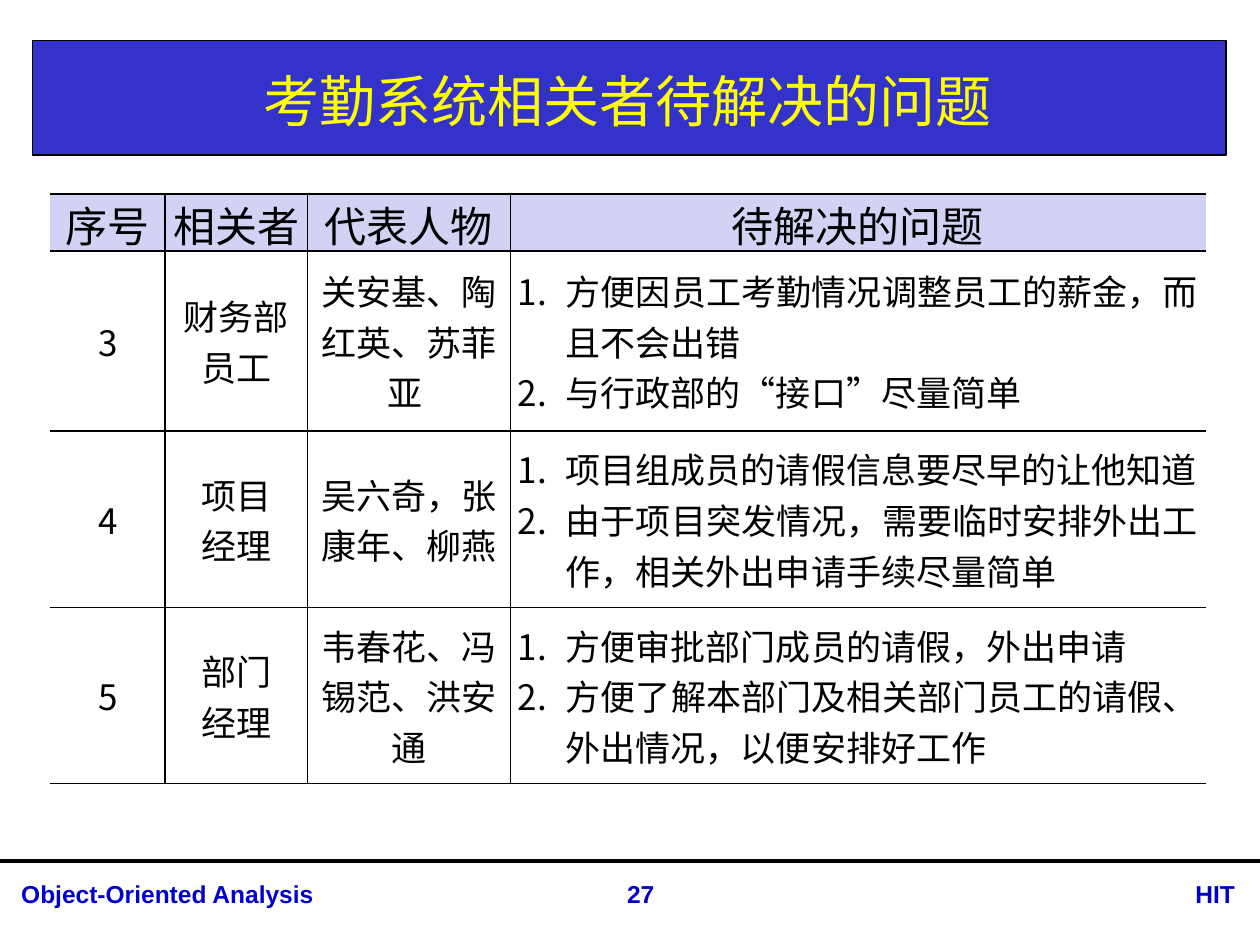
"""Build the slide listing the open issues of attendance-system stakeholders."""
import dataclasses

import lxml.etree
import pptx
import pptx.dml.color
import pptx.enum.shapes
import pptx.enum.text
import pptx.oxml
import pptx.oxml.ns
import pptx.util

Inches = pptx.util.Inches
Pt = pptx.util.Pt
ALIGN = pptx.enum.text.PP_ALIGN
ANCHOR = pptx.enum.text.MSO_ANCHOR
CJK = "Noto Sans CJK SC"


@dataclasses.dataclass
class Stakeholder:
    number: str
    role: list[str]
    people: str
    issues: list[str]


@dataclasses.dataclass
class FooterItem:
    text: str
    left: float
    width: float
    align: ALIGN


HEADERS = ["序号", "相关者", "代表人物", "待解决的问题"]
COL_WIDTHS = [0.91, 1.13, 1.61, 5.52]
ROW_HEIGHTS = [0.45, 1.43, 1.4, 1.4]
STAKEHOLDERS = [
    Stakeholder("3", ["财务部", "员工"], "关安基、陶红英、苏菲亚\u00a0",
                ["方便因员工考勤情况调整员工的薪金，而且不会出错", "与行政部的“接口”尽量简单"]),
    Stakeholder("4", ["项目", "经理"], "吴六奇，张康年、柳燕",
                ["项目组成员的请假信息要尽早的让他知道",
                 "由于项目突发情况，需要临时安排外出工作，相关外出申请手续尽量简单"]),
    Stakeholder("5", ["部门", "经理"], "韦春花、冯锡范、洪安通",
                ["方便审批部门成员的请假，外出申请",
                 "方便了解本部门及相关部门员工的请假、外出情况，以便安排好工作"]),
]
FOOTER = [
    FooterItem("Object-Oriented Analysis", 0.07, 4.63, ALIGN.LEFT),
    FooterItem("HIT", 8.87, 1.03, ALIGN.RIGHT),
    FooterItem("27", 4.57, 1.03, ALIGN.CENTER),
]


def rgb(color: str) -> pptx.dml.color.RGBColor:
    return pptx.dml.color.RGBColor.from_string(color)


def set_attrs(obj, values: dict) -> None:
    for name, value in values.items():
        setattr(obj, name, value)


def add_child(parent, tag: str, **attrs: str):
    child = lxml.etree.SubElement(parent, pptx.oxml.ns.qn(tag))
    for name, value in attrs.items():
        child.set(name, value)
    return child


def write(tf, lines: list[str], align: ALIGN, size: float, color: str = "000000",
          font: str = CJK, bold: bool = False, numbered: bool = False) -> None:
    for i, line in enumerate(lines):
        p = tf.add_paragraph() if i else tf.paragraphs[0]
        p.alignment = align
        if numbered:
            pPr = p._p.get_or_add_pPr()
            pPr.set("marL", str(Inches(0.38)))
            pPr.set("indent", str(Inches(-0.38)))
            add_child(pPr, "a:buFont", typeface=font)
            add_child(pPr, "a:buAutoNum", type="arabicPeriod")
        r = p.add_run()
        r.text = line
        set_attrs(r.font, {"size": Pt(size), "name": font, "bold": bold})
        r.font.color.rgb = rgb(color)
        rPr = r._r.get_or_add_rPr()
        if font == CJK:
            rPr.set("lang", "zh-CN")
            add_child(rPr, "a:ea", typeface=font)


def add_borders(cell, sides: dict[str, bool]) -> None:
    tcPr = cell._tc.get_or_add_tcPr()
    for side, visible in sides.items():
        ln = add_child(tcPr, f"a:ln{side}", w=str(Pt(1)))
        if visible:
            add_child(add_child(ln, "a:solidFill"), "a:srgbClr", val="000000")
        else:
            add_child(ln, "a:noFill")


def add_issue_table(s) -> None:
    rows = [[[h] for h in HEADERS]]
    rows += [[[k.number], k.role, [k.people], k.issues] for k in STAKEHOLDERS]
    last = len(HEADERS) - 1
    frame = s.shapes.add_table(len(rows), len(HEADERS), Inches(0.4), Inches(1.54),
                               Inches(sum(COL_WIDTHS)), Inches(sum(ROW_HEIGHTS)))
    table = frame.table
    set_attrs(table, {"first_row": False, "horz_banding": False})
    for column, width in zip(table.columns, COL_WIDTHS):
        column.width = Inches(width)
    for row, height in zip(table.rows, ROW_HEIGHTS):
        row.height = Inches(height)
    for i, row in enumerate(rows):
        for j, lines in enumerate(row):
            cell = table.cell(i, j)
            listed = i > 0 and j == last
            set_attrs(cell, {"margin_left": Inches(0.06), "margin_right": Inches(0.06),
                             "margin_top": 0, "margin_bottom": 0,
                             "vertical_anchor": ANCHOR.MIDDLE if i else ANCHOR.TOP})
            add_borders(cell, {"L": j > 0, "R": j < last, "T": True, "B": True})
            if i:
                cell.fill.background()
            else:
                cell.fill.solid()
                cell.fill.fore_color.rgb = rgb("D2D2F4")
            write(cell.text_frame, lines, ALIGN.JUSTIFY if listed else ALIGN.CENTER,
                  20 if i else 24, numbered=listed)


def add_title(s, text: str) -> None:
    banner = s.shapes.add_shape(pptx.enum.shapes.MSO_SHAPE.RECTANGLE, Inches(0.26),
                                Inches(0.32), Inches(9.47), Inches(0.91))
    banner.shadow.inherit = False
    banner.fill.solid()
    banner.fill.fore_color.rgb = rgb("3333CC")
    banner.line.color.rgb = rgb("000000")
    banner.line.width = Pt(0.75)
    title = s.shapes.title
    title._element.addprevious(banner._element)
    set_attrs(title, {"left": Inches(0.26), "top": Inches(0.36),
                      "width": Inches(9.45), "height": Inches(0.87)})
    set_attrs(title.text_frame, {"vertical_anchor": ANCHOR.MIDDLE, "word_wrap": True,
                                 "auto_size": pptx.enum.text.MSO_AUTO_SIZE.NONE})
    write(title.text_frame, [text], ALIGN.CENTER, 32, "FFFF00")


def add_footer(s) -> None:
    rule = s.shapes.add_connector(pptx.enum.shapes.MSO_CONNECTOR.STRAIGHT,
                                  0, Inches(6.83), Inches(10), Inches(6.83))
    rule.line.color.rgb = rgb("000000")
    rule.line.width = Pt(2.25)
    add_child(rule._element.spPr, "a:effectLst")
    for item in FOOTER:
        sp = s.shapes.add_textbox(Inches(item.left), Inches(6.93),
                                  Inches(item.width), Inches(0.34))
        sp.text_frame.word_wrap = True
        write(sp.text_frame, [item.text], item.align, 14, "0000CC", "Arial", bold=True)


def main() -> None:
    prs = pptx.Presentation()
    set_attrs(prs, {"slide_width": Inches(10), "slide_height": Inches(7.5)})
    s = prs.slides.add_slide(prs.slide_layouts[5])
    add_title(s, "考勤系统相关者待解决的问题")
    add_footer(s)
    add_issue_table(s)
    prs.save("out.pptx")


if __name__ == "__main__":
    main()
